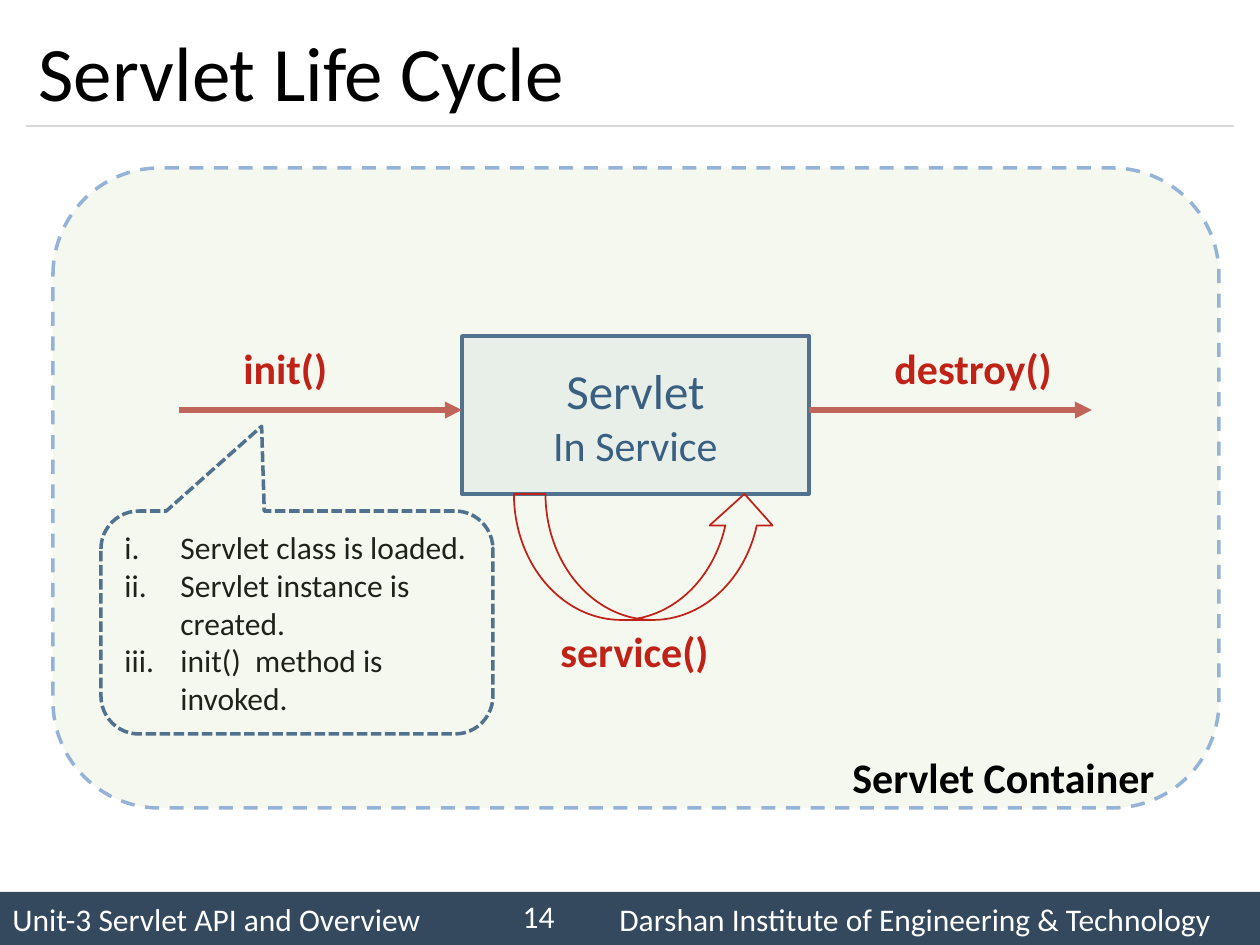
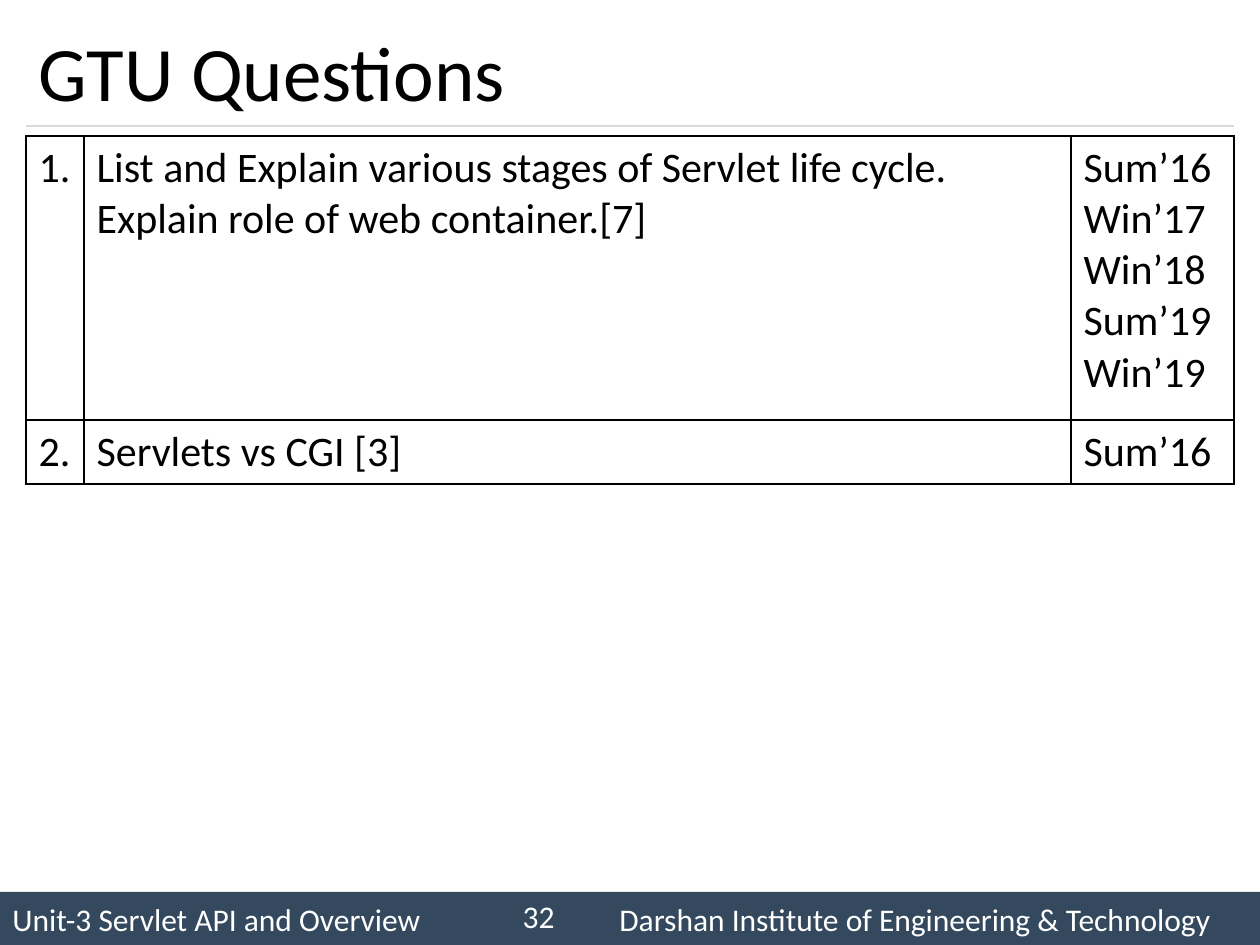
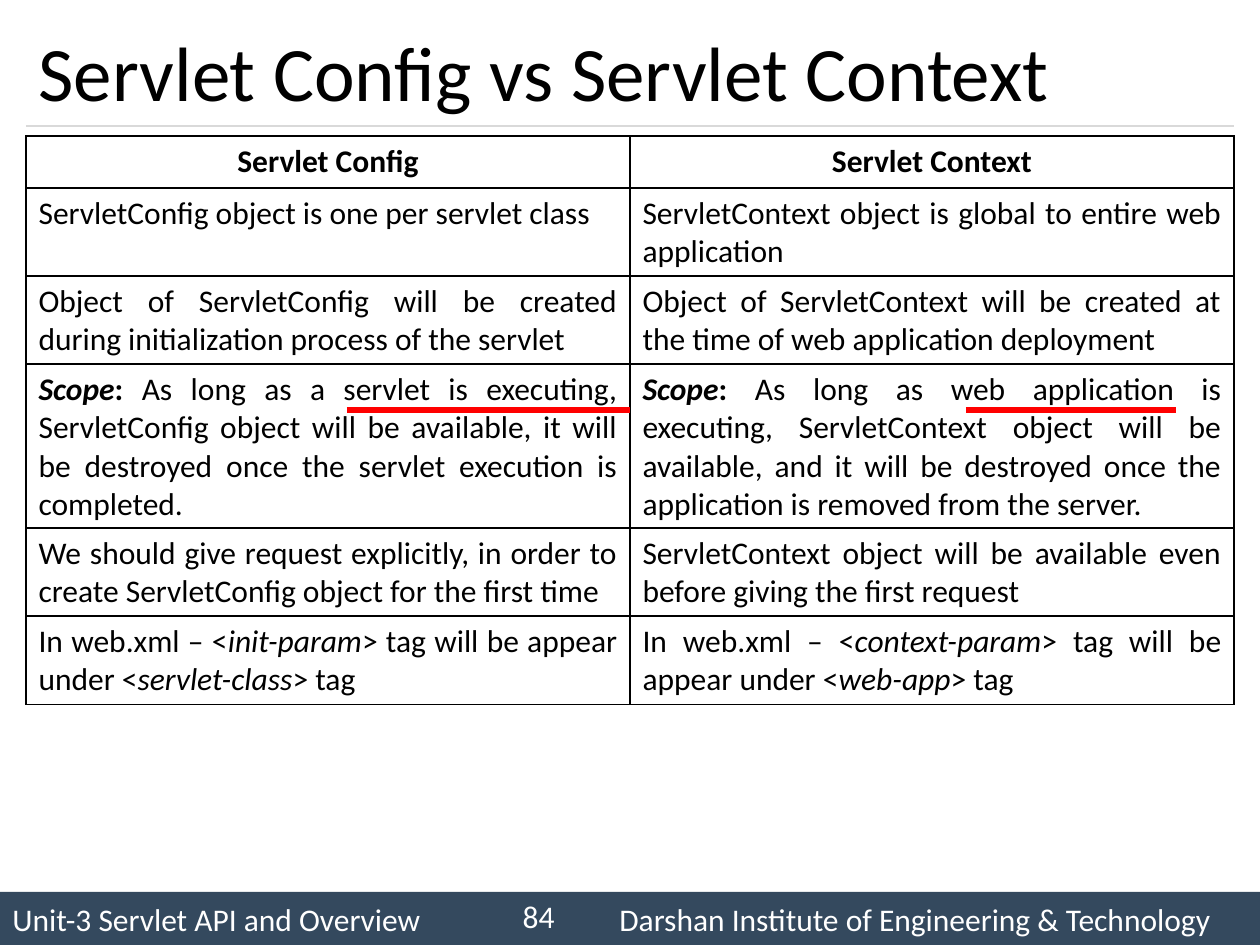
from dataclasses import dataclass

from lxml import etree
from pptx import Presentation
from pptx.dml.color import RGBColor
from pptx.enum.dml import MSO_LINE
from pptx.enum.shapes import MSO_CONNECTOR, MSO_SHAPE
from pptx.enum.text import MSO_ANCHOR, PP_ALIGN
from pptx.oxml.ns import qn
from pptx.util import Emu, Pt

LEFT, MID, RIGHT, FULL = PP_ALIGN.LEFT, PP_ALIGN.CENTER, PP_ALIGN.RIGHT, PP_ALIGN.JUSTIFY
TOP, CORE = MSO_ANCHOR.TOP, MSO_ANCHOR.MIDDLE
RECT, ROUND = MSO_SHAPE.RECTANGLE, MSO_SHAPE.ROUNDED_RECTANGLE
LOOP, CALLOUT = MSO_SHAPE.CURVED_UP_ARROW, MSO_SHAPE.ROUNDED_RECTANGULAR_CALLOUT
DASH, DOTS = MSO_LINE.DASH, MSO_LINE.SQUARE_DOT
STRAIGHT = MSO_CONNECTOR.STRAIGHT

WIDE, HIGH = 1260, 945
EDGE, SPAN = 26, 1208
RULE, GRID = 126, 136


@dataclass(frozen=True)
class Theme:
    font: str = "Calibri"
    black: str = "000000"
    white: str = "FFFFFF"
    band: str = "34495E"
    rule: str = "D9D9D9"
    steel: str = "3A5F8C"
    navy: str = "1F497D"
    ice: str = "DCE6F2"
    leaf: str = "C3D69B"
    sky: str = "95B3D7"
    brick: str = "C0504D"
    red: str = "C00000"
    mark: str = "FF0000"
    head: int = 44
    large: int = 28
    mid: int = 24
    small: int = 18


LOOK = Theme()


def px(num):
    return Emu(round(num * 914400 / 126))


def rgb(code):
    return RGBColor.from_string(code)


def write(frame, lines, size=LOOK.small, color=LOOK.black, bold=False,
          align=LEFT, anchor=TOP, wrap=True, tab=0, list_in=0):
    frame.word_wrap = wrap
    frame.vertical_anchor = anchor
    for pos, line in enumerate(lines):
        para = frame.paragraphs[0] if pos == 0 else frame.add_paragraph()
        para.alignment = align
        props = para._p.get_or_add_pPr()
        if list_in:
            props.set("marL", str(px(list_in)))
            props.set("indent", str(-px(list_in)))
            etree.SubElement(props, qn("a:buAutoNum"), type="romanLcPeriod")
        if tab:
            tabs = etree.SubElement(props, qn("a:tabLst"))
            etree.SubElement(tabs, qn("a:tab"), pos=str(px(tab)), algn="l")
        para.font.size = Pt(size)
        for part, style in [(line, "")] if isinstance(line, str) else line:
            run = para.add_run()
            run.text = part
            font = run.font
            font.name, font.size = LOOK.font, Pt(size)
            font.color.rgb = rgb(color)
            font.bold = bold or "b" in style
            font.italic = "i" in style


def label(slide, x, y, w, h, words, **form):
    item = slide.shapes.add_textbox(px(x), px(y), px(w), px(h))
    write(item.text_frame, [words], **form)


def shape(slide, kind, x, y, w, h, fill=None, alpha=100, line=None, width=2, dash=None):
    item = slide.shapes.add_shape(kind, px(x), px(y), px(w), px(h))
    item.shadow.inherit = False
    if fill:
        item.fill.solid()
        item.fill.fore_color.rgb = rgb(fill)
        if alpha < 100:
            tint = item._element.spPr.find(".//" + qn("a:srgbClr"))
            etree.SubElement(tint, qn("a:alpha"), val=str(alpha * 1000))
    else:
        item.fill.background()
    if line:
        item.line.color.rgb = rgb(line)
        item.line.width = Pt(width)
        if dash:
            item.line.dash_style = dash
    else:
        item.line.fill.background()
    return item


def stroke(slide, x, y, end, color, width, arrow=False):
    item = slide.shapes.add_connector(STRAIGHT, px(x), px(y), px(end), px(y))
    item.line.color.rgb = rgb(color)
    item.line.width = Pt(width)
    props = item._element.spPr
    if arrow:
        etree.SubElement(props.find(qn("a:ln")), qn("a:tailEnd"), type="triangle")
    etree.SubElement(props, qn("a:effectLst"))


def border(cell):
    props = cell._tc.get_or_add_tcPr()
    for side in ("lnL", "lnR", "lnT", "lnB"):
        edge = etree.SubElement(props, qn("a:" + side), w=str(Pt(1)))
        fill = etree.SubElement(edge, qn("a:solidFill"))
        etree.SubElement(fill, qn("a:srgbClr"), val=LOOK.black)


def table(slide, top, cols, highs, rows, **form):
    item = slide.shapes.add_table(len(rows), len(cols), px(EDGE), px(top),
                                  px(sum(cols)), px(sum(highs)))
    grid = item.table
    grid.first_row = grid.horz_banding = False
    for col, wide in zip(grid.columns, cols):
        col.width = px(wide)
    for line, high, cells in zip(grid.rows, highs, rows):
        line.height = px(high)
        for cell, lines in zip(line.cells, cells):
            border(cell)
            cell.fill.background()
            write(cell.text_frame, lines, **form)


def page(deck, title, num):
    slide = deck.slides.add_slide(deck.slide_layouts[5])
    head = slide.shapes.title
    head.left, head.top, head.width, head.height = px(EDGE), px(15), px(SPAN), px(111)
    write(head.text_frame, [title], size=LOOK.head, anchor=CORE)
    band = shape(slide, RECT, 0, 892, WIDE, 53, fill=LOOK.band)
    foot = "Unit-3 Servlet API and Overview\tDarshan Institute of Engineering & Technology"
    write(band.text_frame, [foot], color=LOOK.white, anchor=CORE, tab=607)
    stroke(slide, EDGE, RULE, EDGE + SPAN, LOOK.rule, 0.75)
    label(slide, 483, 891, 84, 50, num, color=LOOK.white, align=RIGHT, anchor=CORE)
    return slide


def cycle(deck):
    slide = page(deck, "Servlet Life Cycle", "14")
    core = shape(slide, RECT, 462, 336, 347, 158, fill=LOOK.ice, alpha=41, line=LOOK.steel)
    frame = core.text_frame
    write(frame, ["Servlet", "In Service"], size=LOOK.mid, color=LOOK.navy,
          align=MID, anchor=CORE)
    frame.paragraphs[0].runs[0].font.size = Pt(LOOK.large)
    for start in (179, 809):
        stroke(slide, start, 410, start + 283, LOOK.brick, 3.25, arrow=True)
    shape(slide, LOOP, 514, 494, 262, 126, line=LOOK.red, width=1)
    for x, y, w, h, words in ((231, 336, 111, 63, "init()"),
                              (548, 619, 175, 115, "service()"),
                              (882, 336, 184, 63, "destroy()")):
        label(slide, x, y, w, h, words, size=LOOK.mid, color=LOOK.red, bold=True, wrap=False)
    steps = shape(slide, CALLOUT, 101, 511, 392, 223, line=LOOK.steel, dash=DOTS)
    for pos, value in enumerate((-0.09, -0.88, 0.17)):
        steps.adjustments[pos] = value
    write(steps.text_frame, ["Servlet class is loaded.", "Servlet instance is created.",
                             "init()\u00a0 method is invoked.".replace("\u00a0", " ")],
          anchor=CORE, list_in=56)
    shape(slide, ROUND, 53, 168, 1166, 640, fill=LOOK.leaf, alpha=16, line=LOOK.sky, dash=DASH)
    label(slide, 840, 745, 357, 63, "Servlet Container", size=LOOK.mid, bold=True)


def exam(deck):
    slide = page(deck, "GTU Questions", "32")
    rows = [
        (["1."],
         ["List and Explain various stages of Servlet life cycle. "
          "Explain role of web container.[7]"],
         ["Sum’16", "Win’17", "Win’18", "Sum’19", "Win’19"]),
        (["2."], ["Servlets vs CGI [3]"], ["Sum’16"]),
    ]
    table(slide, GRID, (58, 987, 163), (284, 64), rows, size=LOOK.mid)


def scope(words):
    return [("Scope", "bi"), (": ", "b"), (words, "")]


def tags(first, second):
    return [("In web.xml – <", ""), (first, "i"), ("> tag will be appear under <", ""),
            (second, "i"), ("> tag", "")]


def versus(deck):
    slide = page(deck, "Servlet Config vs Servlet Context", "84")
    rows = [
        (52, "Servlet Config", "Servlet Context"),
        (88, "ServletConfig object is one per servlet class",
         "ServletContext object is global to entire web application"),
        (88, "Object of ServletConfig will be created during initialization process "
             "of the servlet",
         "Object of ServletContext will be created at the time of web application deployment"),
        (164, scope("As long as a servlet is executing, ServletConfig object will be available, "
                    "it will be destroyed once the servlet execution is completed."),
         scope("As long as web application is executing, ServletContext object will be "
               "available, and it will be destroyed once the application is removed "
               "from the server.")),
        (88, "We should give request explicitly, in order to create ServletConfig object "
             "for the first time",
         "ServletContext object will be available even before giving the first request"),
        (88, tags("init-param", "servlet-class"), tags("context-param", "web-app")),
    ]
    top = GRID
    for pos, (high, left, right) in enumerate(rows):
        table(slide, top, (SPAN // 2, SPAN // 2), (high,), [([left], [right])],
              bold=pos == 0, align=FULL if pos else MID)
        top += high
    for start, end in ((347, 630), (966, 1176)):
        stroke(slide, start, 410, end, LOOK.mark, 3)


def main():
    deck = Presentation()
    deck.slide_width, deck.slide_height = px(WIDE), px(HIGH)
    cycle(deck)
    exam(deck)
    versus(deck)
    deck.save("out.pptx")


if __name__ == "__main__":
    main()
